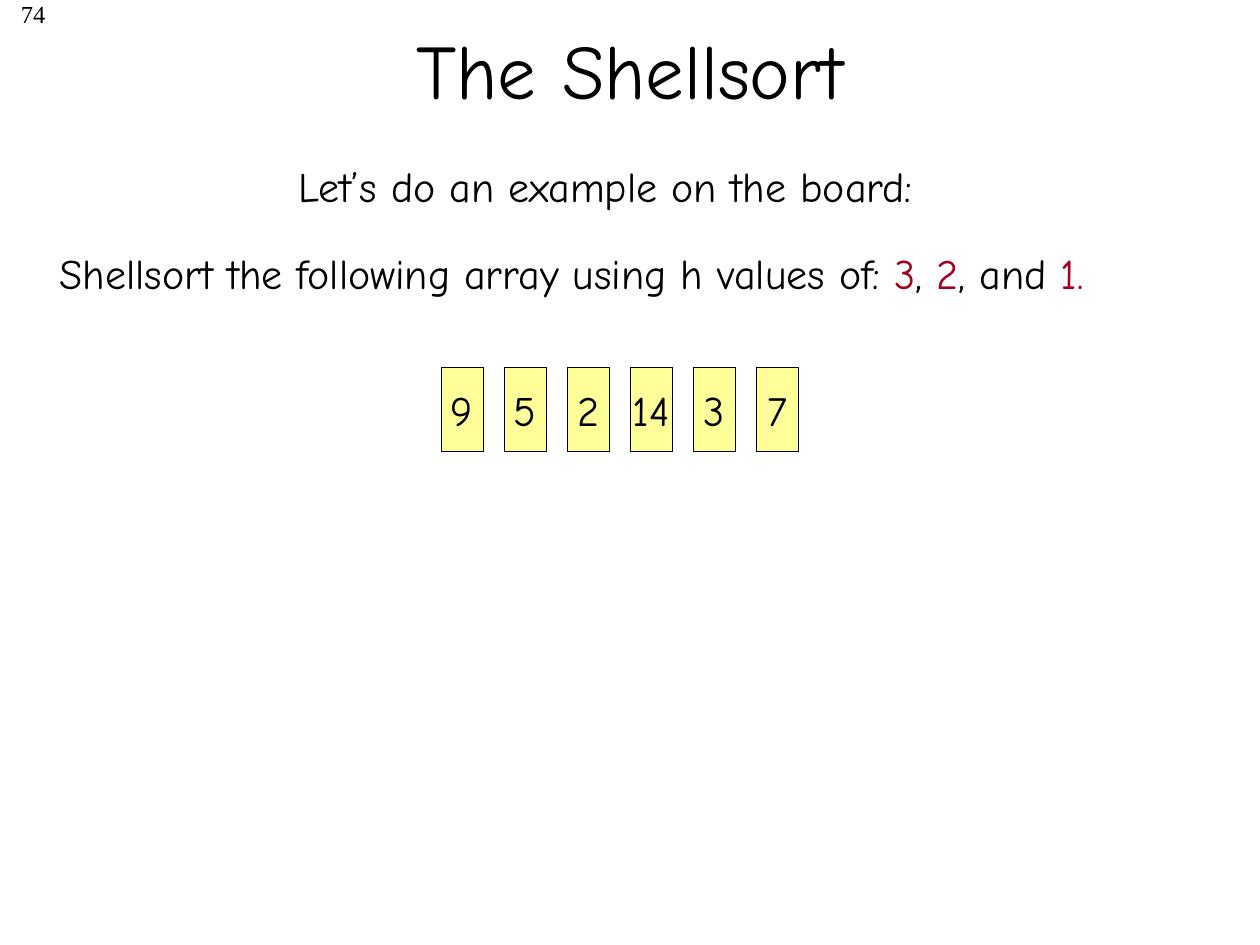
import pptx
import pptx.dml.color
import pptx.enum.shapes
import pptx.enum.text
import pptx.util

Pt = pptx.util.Pt
Align = pptx.enum.text.PP_ALIGN
Anchor = pptx.enum.text.MSO_ANCHOR

BLACK, RED, YELLOW = "000000", "A50021", "FFFF99"
VALUES = [9, 5, 2, 14, 3, 7]


def color(code):
    return pptx.dml.color.RGBColor.from_string(code)


def write(frame, *runs, size=24, font="Comic Neue", align=Align.LEFT,
          anchor=Anchor.TOP, wrap=True):
    """Fill the frame with one paragraph; each run is a (text, colour) pair."""
    frame.word_wrap = wrap
    frame.vertical_anchor = anchor
    para = frame.paragraphs[0]
    para.alignment = align
    for text, code in runs:
        run = para.add_run()
        run.text = text
        run.font.size = Pt(size)
        run.font.name = font
        run.font.color.rgb = color(code)


class Board:
    """Holds the cell style and the current slide."""

    fill, edge, width = YELLOW, BLACK, 0.25

    def __init__(self, slide):
        self.slide = slide

    def text(self, box, *runs, **style):
        shape = self.slide.shapes.add_textbox(*map(Pt, box))
        write(shape.text_frame, *runs, **style)

    def cell(self, box, value):
        kind = pptx.enum.shapes.MSO_SHAPE.RECTANGLE
        shape = self.slide.shapes.add_shape(kind, *map(Pt, box))
        shape.shadow.inherit = False
        shape.fill.solid()
        shape.fill.fore_color.rgb = color(self.fill)
        shape.line.color.rgb = color(self.edge)
        shape.line.width = Pt(self.width)
        write(shape.text_frame, (str(value), BLACK), align=Align.CENTER,
              anchor=Anchor.MIDDLE, wrap=False)

    def array(self, left, top, values, step=36, width=24, height=48):
        for i, value in enumerate(values):
            self.cell((left + i * step, top, width, height), value)


def main():
    deck = pptx.Presentation()
    deck.slide_width, deck.slide_height = Pt(720), Pt(540)
    board = Board(deck.slides.add_slide(deck.slide_layouts[6]))

    board.text((-117, -4, 150, 36), ("74", BLACK), size=14,
               font="Times New Roman", align=Align.RIGHT)
    board.text((54, -6, 612, 90), ("The Shellsort", BLACK), size=44,
               align=Align.CENTER, anchor=Anchor.MIDDLE)
    board.text((163.5, 88, 389, 36),
               ("Let’s do an example on the board:", BLACK), wrap=False)
    board.array(252, 210, VALUES)
    board.text((27, 138, 681, 36),
               ("Shellsort the following array using h values of: ", BLACK),
               ("3", RED), (", ", BLACK), ("2", RED), (", and ", BLACK),
               ("1.", RED))

    deck.save("out.pptx")


if __name__ == "__main__":
    main()
